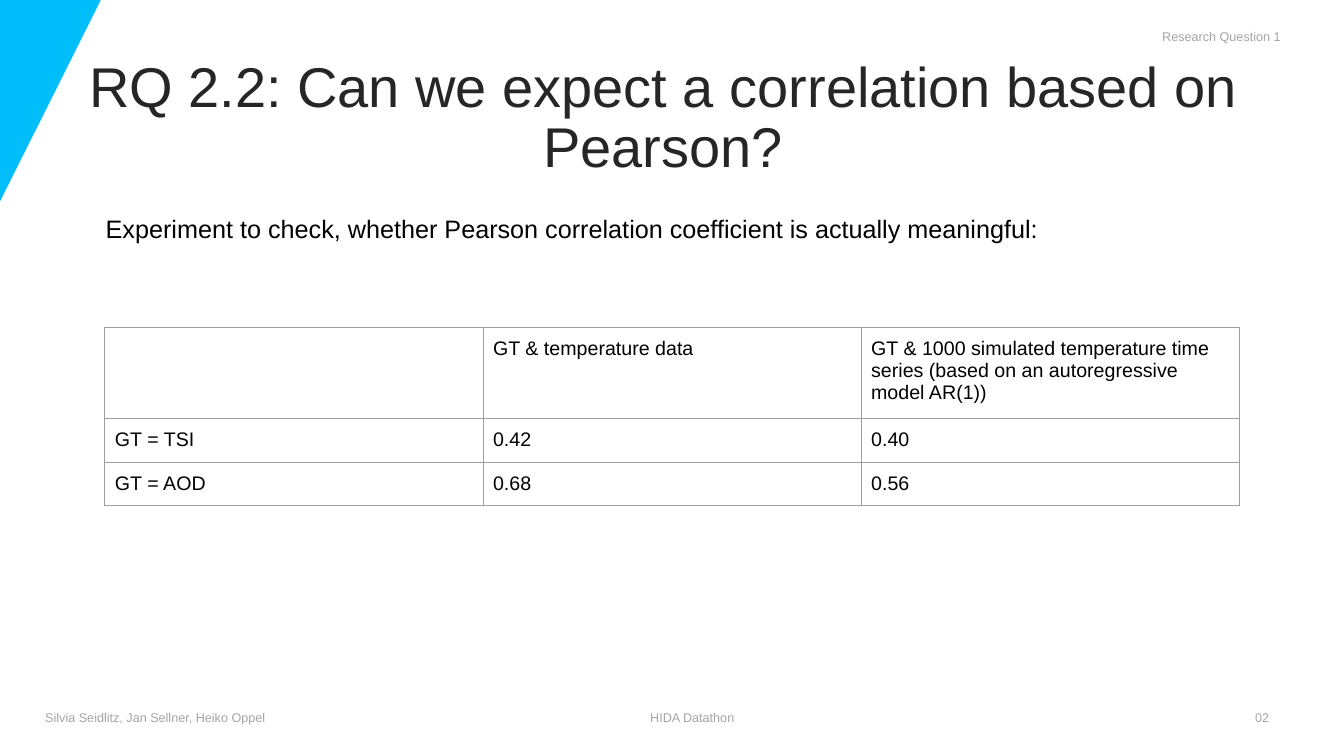
from pptx import Presentation
from pptx.dml.color import RGBColor
from pptx.enum.text import MSO_ANCHOR as Anchor, PP_ALIGN as Align
from pptx.oxml import parse_xml
from pptx.oxml.ns import nsdecls
from pptx.util import Inches, Pt

FONT = "Arial"
SKY = RGBColor(0x00, 0xBD, 0xFB)
INK = RGBColor(0x26, 0x26, 0x26)
BLACK = RGBColor(0x00, 0x00, 0x00)
GRAY = RGBColor(0xA5, 0xA5, 0xA5)
BORDER = RGBColor(0x9E, 0x9E, 0x9E)

STRIPES = [(0, 0.21), (0.28, 0.39), (0.45, 0.66), (0.73, 0.83)]
STRIPE_SLOPE = 2.75
FOOTER_TABS = [6.0, 12.0]
FOOTER = ["Silvia Seidlitz, Jan Sellner, Heiko Oppel", "HIDA Datathon", "02"]
RESULTS = [
    ["", "GT & temperature data",
     "GT & 1000 simulated temperature time series (based on an autoregressive model AR(1))"],
    ["GT = TSI", "0.42", "0.40"],
    ["GT = AOD", "0.68", "0.56"],
]
ROW_HEIGHTS = [0.85, 0.42, 0.42]


def style(paragraph, size, color):
    for run in paragraph.runs:
        run.font.name = FONT
        run.font.size = Pt(size)
        run.font.color.rgb = color


def add_text(slide, box, text, size, color, align=Align.LEFT, anchor=Anchor.TOP):
    frame = slide.shapes.add_textbox(*map(Inches, box)).text_frame
    frame.word_wrap = True
    frame.vertical_anchor = anchor
    paragraph = frame.paragraphs[0]
    paragraph.text = text
    paragraph.alignment = align
    style(paragraph, size, color)
    return paragraph


def add_corner_stripes(slide, left, top):
    # Each stripe runs from the top edge to the left edge at one slope
    outlines = []
    for inner, outer in STRIPES:
        outlines.append([(left + inner, top), (left + outer, top),
                         (left, top + outer * STRIPE_SLOPE),
                         (left, top + inner * STRIPE_SLOPE)])
    builder = slide.shapes.build_freeform(*outlines[0][0], scale=Inches(1))
    for number, outline in enumerate(outlines):
        if number:
            builder.move_to(*outline[0])
        builder.add_line_segments(outline[1:], close=True)
    stripes = builder.convert_to_shape()
    stripes.shadow.inherit = False
    stripes.fill.solid()
    stripes.fill.fore_color.rgb = SKY
    stripes.line.fill.background()


def add_title(slide, box):
    title = add_text(slide, box, "RQ 2.2: Can we expect a correlation based on Pearson?",
                     40, INK, Align.CENTER, Anchor.MIDDLE)
    title.line_spacing = 0.9


def add_intro(slide, box):
    intro = add_text(
        slide, box,
        "Experiment to check, whether Pearson correlation coefficient is actually meaningful:",
        18, BLACK)
    properties = intro._p.get_or_add_pPr()
    properties.set("marL", str(Inches(0.31)))
    properties.set("indent", str(Inches(-0.19)))


def add_footer(slide, box):
    footer = add_text(slide, box, "\t".join(FOOTER), 9, GRAY)
    stops = "".join(f'<a:tab pos="{Inches(stop)}" algn="l"/>' for stop in FOOTER_TABS)
    footer._p.get_or_add_pPr().append(
        parse_xml(f'<a:tabLst {nsdecls("a")}>{stops}</a:tabLst>'))


def set_borders(cell):
    for side in ("lnL", "lnR", "lnT", "lnB"):
        cell._tc.get_or_add_tcPr().append(parse_xml(
            f'<a:{side} {nsdecls("a")} w="{Pt(0.75)}"><a:solidFill>'
            f'<a:srgbClr val="{BORDER}"/></a:solidFill></a:{side}>'))


def add_results(slide, left, top, width):
    table = slide.shapes.add_table(
        len(RESULTS), len(RESULTS[0]), Inches(left), Inches(top),
        Inches(width), Inches(sum(ROW_HEIGHTS))).table
    table.first_row = False
    table.horz_banding = False
    for column in table.columns:
        column.width = Inches(width / len(RESULTS[0]))
    for row, height, values in zip(table.rows, ROW_HEIGHTS, RESULTS):
        row.height = Inches(height)
        for cell, value in zip(row.cells, values):
            cell.margin_left = cell.margin_right = Inches(0.1)
            cell.margin_top = cell.margin_bottom = Inches(0.1)
            set_borders(cell)
            cell.fill.background()
            cell.text_frame.text = value
            style(cell.text_frame.paragraphs[0], 14, BLACK)


def main():
    deck = Presentation()
    deck.slide_width = Inches(13.33)
    deck.slide_height = Inches(7.5)
    slide = deck.slides.add_slide(deck.slide_layouts[6])

    # Decoration and title
    add_corner_stripes(slide, 0, 0)
    add_title(slide, (0.35, 0.55, 12.45, 1.27))

    # Footer and section label
    add_footer(slide, (0.35, 6.99, 12.45, 0.25))
    add_text(slide, (7.3, 0.24, 5.5, 0.25), "Research Question 1", 9, GRAY, Align.RIGHT)

    # Experiment and its results
    add_intro(slide, (0.83, 2.07, 11.45, 1.01))
    add_results(slide, 1.04, 3.25, 11.25)

    deck.save("out.pptx")


if __name__ == "__main__":
    main()
